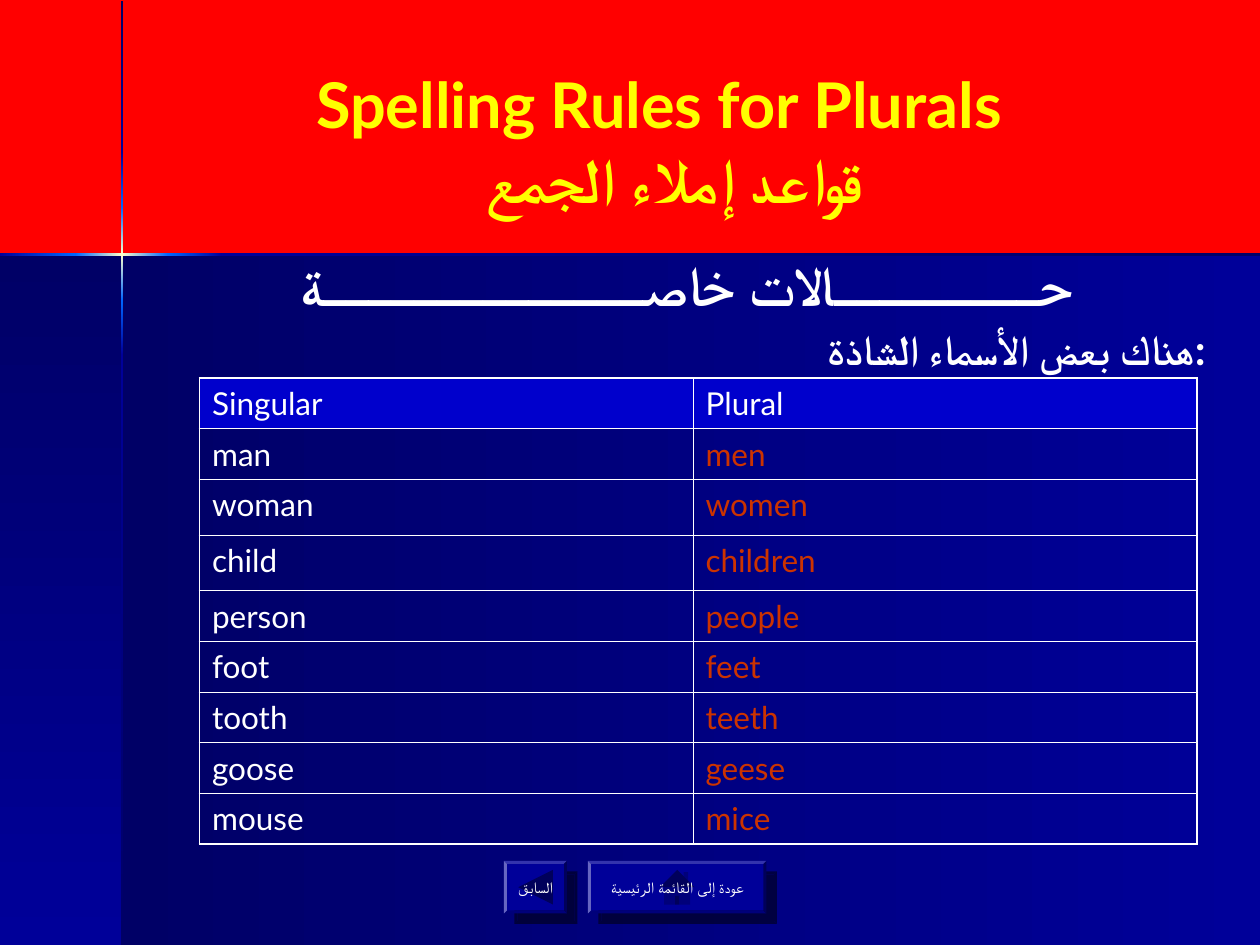
from itertools import pairwise

from lxml import etree
from pptx import Presentation, util as u
from pptx.dml.color import RGBColor
from pptx.enum import shapes, text
from pptx.oxml import ns

COLUMNS, ROWS = 120, 90
CELL = u.Inches(10) / COLUMNS

FONT = "Lato"
RED = RGBColor(0xFF, 0, 0)
NAVY = RGBColor(0, 0, 0x66)
BLUE = RGBColor(0, 0, 0x99)
HEADER_BLUE = RGBColor(0, 0, 0xCC)
SKY = RGBColor(0, 0x66, 0xFF)
CREAM = RGBColor(0xFF, 0xFF, 0xCC)
YELLOW = RGBColor(0xFF, 0xFF, 0)
WHITE = RGBColor(0xFF, 0xFF, 0xFF)
RUST = RGBColor(0xCC, 0x33, 0)
BLACK = RGBColor(0, 0, 0)

NOUNS = [
    ("Singular", "Plural"), ("man", "men"), ("woman", "women"),
    ("child", "children"), ("person", "people"), ("foot", "feet"),
    ("tooth", "teeth"), ("goose", "geese"), ("mouse", "mice"),
]
TALL_ROWS = (2, 3)
GLOW = [(NAVY, BLUE), (BLUE, SKY), (SKY, CREAM, SKY), (SKY, BLUE), (BLUE, NAVY)]


def cells(*counts):
    return [round(count * CELL) for count in counts]


def add_xml(parent, tag, **attributes):
    return etree.SubElement(parent, ns.qn(tag), attributes)


def add_color(parent, color):
    fill = add_xml(parent, "a:solidFill")
    return add_xml(fill, "a:srgbClr", val=str(color))


def add_shape(page, kind, area, color):
    shape = page.shapes.add_shape(kind, *cells(*area))
    shape.shadow.inherit = False
    shape.line.fill.background()
    shape.fill.solid()
    shape.fill.fore_color.rgb = color
    return shape


def add_gradient(page, area, colors, angle):
    """Rectangle fading evenly through colors; angle 0 runs right, 90 down."""
    shape = add_shape(page, shapes.MSO_SHAPE.RECTANGLE, area, colors[0])
    solid = shape.element.spPr.find(ns.qn("a:solidFill"))
    fade = etree.Element(ns.qn("a:gradFill"), rotWithShape="1")
    stops = add_xml(fade, "a:gsLst")
    for index, color in enumerate(colors):
        position = 100000 * index // (len(colors) - 1)
        stop = add_xml(stops, "a:gs", pos=str(position))
        add_xml(stop, "a:srgbClr", val=str(color))
    add_xml(fade, "a:lin", ang=str(angle * 60000), scaled="0")
    solid.getparent().replace(solid, fade)


def add_span(para, words, size, color, bold=False):
    span = para.add_run()
    span.text = words
    span.font.name = FONT
    span.font.size = u.Pt(size)
    span.font.bold = bold
    span.font.color.rgb = color
    add_xml(span.font._element, "a:cs", typeface=FONT)


def add_text_box(page, area, anchor):
    frame = page.shapes.add_textbox(*cells(*area)).text_frame
    frame.word_wrap = True
    frame.vertical_anchor = anchor
    return frame


def add_backdrop(page):
    add_gradient(page, (11.64, 24.24, 108.36, 65.76), (NAVY, BLUE), 0)
    add_gradient(page, (0, 24.24, 11.64, 65.76), (NAVY, BLUE), 90)
    thickness = 0.24
    heights = pairwise((0.12, 14.5, 19.8, 28.6, 33.8, ROWS))
    for (top, bottom), colors in zip(heights, GLOW):
        add_gradient(page, (11.52, top, thickness, bottom - top), colors, 90)
    widths = pairwise((0, 7.2, 16, 21.2, COLUMNS))
    for (left, right), colors in zip(widths, GLOW[1:]):
        add_gradient(page, (left, 24.12, right - left, thickness), colors, 0)


def add_title(page):
    frame = add_text_box(page, (14, 4, 99, 18.8), text.MSO_ANCHOR.MIDDLE)
    para = frame.paragraphs[0]
    para.alignment = text.PP_ALIGN.CENTER
    add_span(para, "Spelling Rules for Plurals ", 36, YELLOW, True)
    para.add_line_break()
    add_span(para, " قواعد إملاء الجمع", 36, YELLOW, True)


def add_subtitle(page):
    frame = add_text_box(page, (15, 24, 101, 13), text.MSO_ANCHOR.TOP)
    lines = [
        ("حـــــــــالات خاصــــــــــــــة", 32, text.PP_ALIGN.CENTER),
        ("هناك بعض الأسماء الشاذة:", 24, text.PP_ALIGN.RIGHT),
    ]
    for index, (words, size, alignment) in enumerate(lines):
        para = frame.add_paragraph() if index else frame.paragraphs[0]
        para.alignment = alignment
        para.line_spacing = 0.9
        if index:
            para.space_before = u.Pt(6)
        indent = u.Inches(0.38)
        properties = para._p.get_or_add_pPr()
        properties.set("marL", str(indent))
        properties.set("indent", str(-indent))
        add_span(para, words, size, WHITE, True)


def set_borders(cell, outer_sides):
    """Thick lines on the sides at the table's edge, thin ones elsewhere."""
    properties = cell._tc.get_or_add_tcPr()
    for index, side in enumerate("LRTB"):
        width = u.Pt(1.08 if side in outer_sides else 0.45)
        line = etree.Element(ns.qn(f"a:ln{side}"), w=str(width))
        add_color(line, WHITE)
        properties.insert(index, line)


def add_noun_table(page):
    last = len(NOUNS) - 1
    frame = page.shapes.add_table(len(NOUNS), 2, *cells(19, 36, 95, 44.4))
    table = frame.table
    table.first_row = table.horz_banding = False
    for column, width in zip(table.columns, cells(47, 48)):
        column.width = width
    for y, nouns in enumerate(NOUNS):
        table.rows[y].height = cells(5.3 if y in TALL_ROWS else 4.83)[0]
        for x, noun in enumerate(nouns):
            cell = table.cell(y, x)
            if y == 0:
                cell.fill.solid()
                cell.fill.fore_color.rgb = HEADER_BLUE
            else:
                cell.fill.background()
            edge = {0: "T", last: "B"}.get(y, "")
            set_borders(cell, "LR"[x] + edge)
            color = RUST if x and y else WHITE
            add_span(cell.text_frame.paragraphs[0], noun, 18, color)


def add_button(page, icon, left, width, label):
    """Raised frame with a drop shadow around a labelled action button."""
    top, height, rim = 82, 5, 0.06
    bevel = add_shape(page, shapes.MSO_SHAPE.BEVEL, (left, top, width, height), BLUE)
    bevel.adjustments[0] = rim
    effects = bevel.element.spPr.find(ns.qn("a:effectLst"))
    shadow = add_xml(effects, "a:outerShdw", dist=str(u.Pt(8.5)),
                     dir=str(45 * 60000), algn="ctr", rotWithShape="0")
    shade = add_xml(shadow, "a:srgbClr", val=str(BLACK))
    add_xml(shade, "a:alpha", val="50000")

    inset = rim * height
    inside = (left + inset, top + inset, width - 2 * inset, height - 2 * inset)
    button = add_shape(page, icon, inside, BLUE)
    frame = button.text_frame
    frame.word_wrap = False
    frame.vertical_anchor = text.MSO_ANCHOR.MIDDLE
    para = frame.paragraphs[0]
    para.alignment = text.PP_ALIGN.CENTER
    add_span(para, label, 9, WHITE)


def main():
    deck = Presentation()
    deck.slide_width, deck.slide_height = cells(COLUMNS, ROWS)
    page = deck.slides.add_slide(deck.slide_layouts[6])
    page.background.fill.solid()
    page.background.fill.fore_color.rgb = RED
    add_backdrop(page)
    add_title(page)
    add_subtitle(page)
    add_noun_table(page)
    kinds = shapes.MSO_SHAPE
    add_button(page, kinds.ACTION_BUTTON_BACK_OR_PREVIOUS, 48, 6, "السابق")
    add_button(page, kinds.ACTION_BUTTON_HOME, 56, 17, "عودة إلى القائمة الرئيسية")
    deck.save("out.pptx")


if __name__ == "__main__":
    main()
